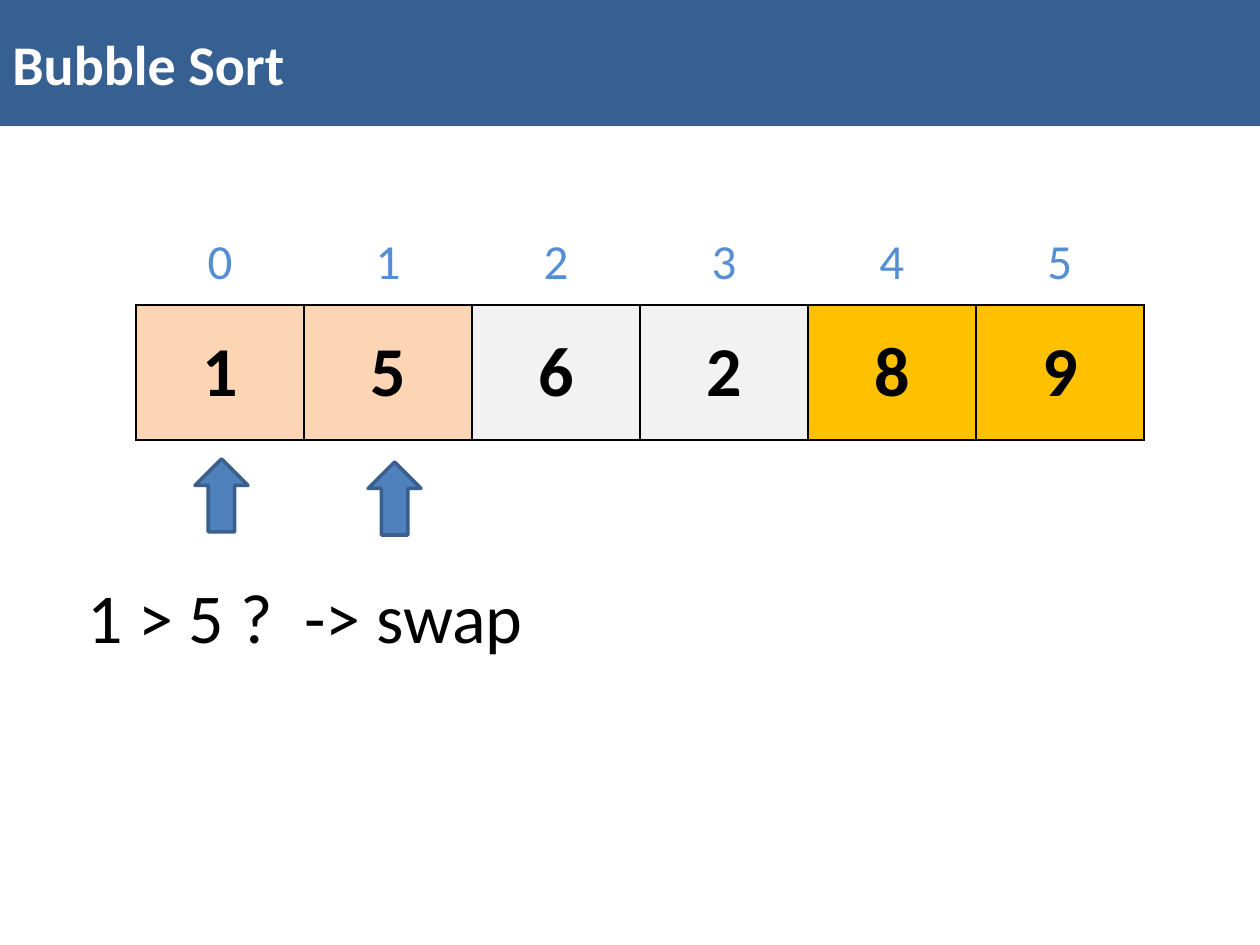
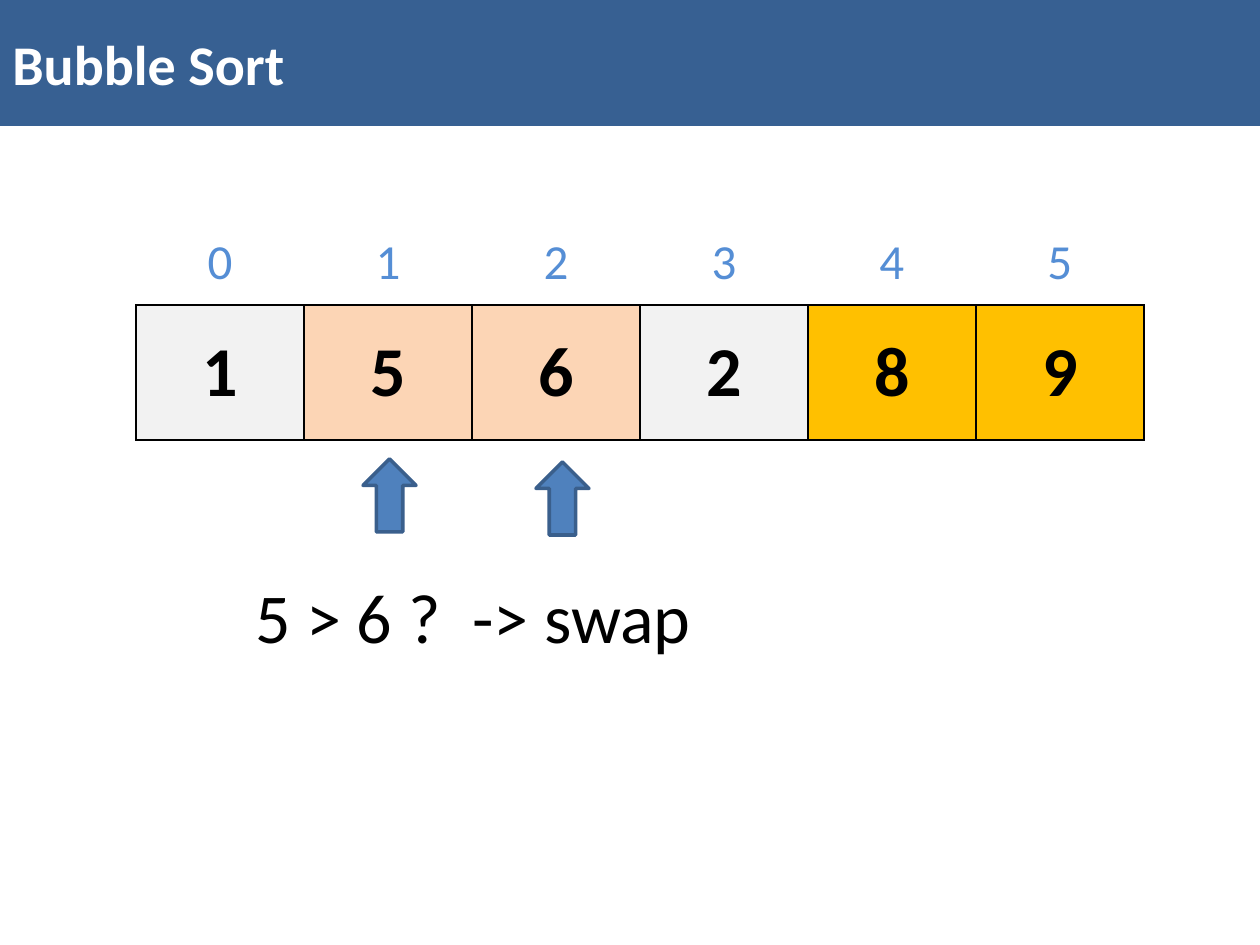
from lxml.etree import SubElement
from pptx import Presentation
from pptx.dml.color import RGBColor as Rgb
from pptx.enum.shapes import MSO_SHAPE as Shape
from pptx.enum.text import MSO_ANCHOR as Anchor, PP_ALIGN as Align
from pptx.oxml.ns import qn
from pptx.util import Emu, Pt

PX = 914400 / 126
COLORS = {
    "band": "376092", "white": "FFFFFF", "black": "000000", "index": "558ED5",
    "compared": "FCD5B5", "open": "F2F2F2", "sorted": "FFC000",
    "arrow": "4F81BD", "arrow_edge": "3A5F8C",
}
FORMATS = {
    "title": {"size": Pt(32), "bold": True, "color": "white"},
    "value": {"size": Pt(40), "bold": True, "color": "black"},
    "index": {"size": Pt(28), "bold": False, "color": "index"},
    "question": {"size": Pt(40), "bold": False, "color": "black"},
}
PLAIN_TABLE = "{2D5ABB26-0587-4C30-8999-92F81FD0307C}"
CELL_WIDTH = 168
VALUES = [1, 5, 6, 2, 8, 9]
SORTED_FROM = 4


def px(*lengths):
    """Turn pixel lengths into EMU."""
    return [Emu(round(length * PX)) for length in lengths]


class SortDeck:
    """Holds the deck style and the current slide."""

    def __init__(self):
        """Start an empty deck of 10 by 7.5 inches."""
        self.deck = Presentation()
        self.deck.slide_width, self.deck.slide_height = px(1260, 945)
        self.page = None

    def add_page(self, title):
        """Start a slide with its title band."""
        self.page = self.deck.slides.add_slide(self.deck.slide_layouts[6])
        band = self.shape(Shape.RECTANGLE, (0, 0, 1260, 126), "band")
        band.text_frame.vertical_anchor = Anchor.MIDDLE
        self.label(band.text_frame, title, "title", Align.LEFT)

    def label(self, frame, text, style, align=Align.CENTER):
        """Put one styled paragraph into a text frame."""
        para = frame.paragraphs[0]
        para.alignment = align
        span = para.add_run()
        span.text = str(text)
        values = dict(FORMATS[style], name="Calibri")
        span.font.color.rgb = Rgb.from_string(COLORS[values.pop("color")])
        for name, value in values.items():
            setattr(span.font, name, value)

    def shape(self, kind, place, fill, edge=None):
        """Draw a filled preset shape, with an edge if one is named."""
        shape = self.page.shapes.add_shape(kind, *px(*place))
        shape.shadow.inherit = False
        shape.fill.solid()
        shape.fill.fore_color.rgb = Rgb.from_string(COLORS[fill])
        if edge:
            shape.line.color.rgb = Rgb.from_string(COLORS[edge])
            shape.line.width = Pt(2)
        else:
            shape.line.fill.background()
        return shape

    def arrow(self, left, top):
        """Draw an arrow that points up at a cell."""
        arrow = self.shape(Shape.DOWN_ARROW, (left, top, 53, 73), "arrow", "arrow_edge")
        arrow.rotation = 180

    def text(self, place, words, style):
        """Add a centred text box."""
        box = self.page.shapes.add_textbox(*px(*place))
        box.text_frame.word_wrap = True
        self.label(box.text_frame, words, style)

    def border(self, cell):
        """Draw a thin black line on all sides of a cell."""
        properties = cell._tc.get_or_add_tcPr()
        for side in ("a:lnL", "a:lnR", "a:lnT", "a:lnB"):
            line = SubElement(properties, qn(side), w=str(Pt(1)))
            fill = SubElement(line, qn("a:solidFill"))
            SubElement(fill, qn("a:srgbClr"), val=COLORS["black"])

    def row(self, top, height, entries, style, fills=None):
        """Add a one-row table, bordered and filled if fills are given."""
        place = px(136, top, CELL_WIDTH * len(entries), height)
        table = self.page.shapes.add_table(1, len(entries), *place).table
        table.first_row = table.horz_banding = False
        table._tbl.tblPr.find(qn("a:tableStyleId")).text = PLAIN_TABLE
        for column, entry in enumerate(entries):
            table.columns[column].width = px(CELL_WIDTH)[0]
            cell = table.cell(0, column)
            cell.vertical_anchor = Anchor.MIDDLE
            self.label(cell.text_frame, entry, style)
            if fills:
                self.border(cell)
                cell.fill.solid()
                cell.fill.fore_color.rgb = Rgb.from_string(COLORS[fills[column]])
            else:
                cell.fill.background()

    def comparison(self, first):
        """Build the slide that compares a cell with its right neighbour."""
        self.add_page("Bubble Sort")
        fills = ["sorted" if index >= SORTED_FROM else "open" for index in range(len(VALUES))]
        fills[first:first + 2] = ["compared"] * 2
        self.row(305, 135, VALUES, "value", fills)
        self.row(221, 84, range(len(VALUES)), "index")
        shift = first * CELL_WIDTH
        self.arrow(195 + shift, 459)
        question = f"{VALUES[first]} > {VALUES[first + 1]} ?  -> swap"
        self.text((53 + shift, 567, 504, 97), question, "question")
        self.arrow(368 + shift, 462)


def main():
    """Build and save the deck."""
    deck = SortDeck()
    for first in range(2):
        deck.comparison(first)
    deck.deck.save("out.pptx")


if __name__ == "__main__":
    main()
